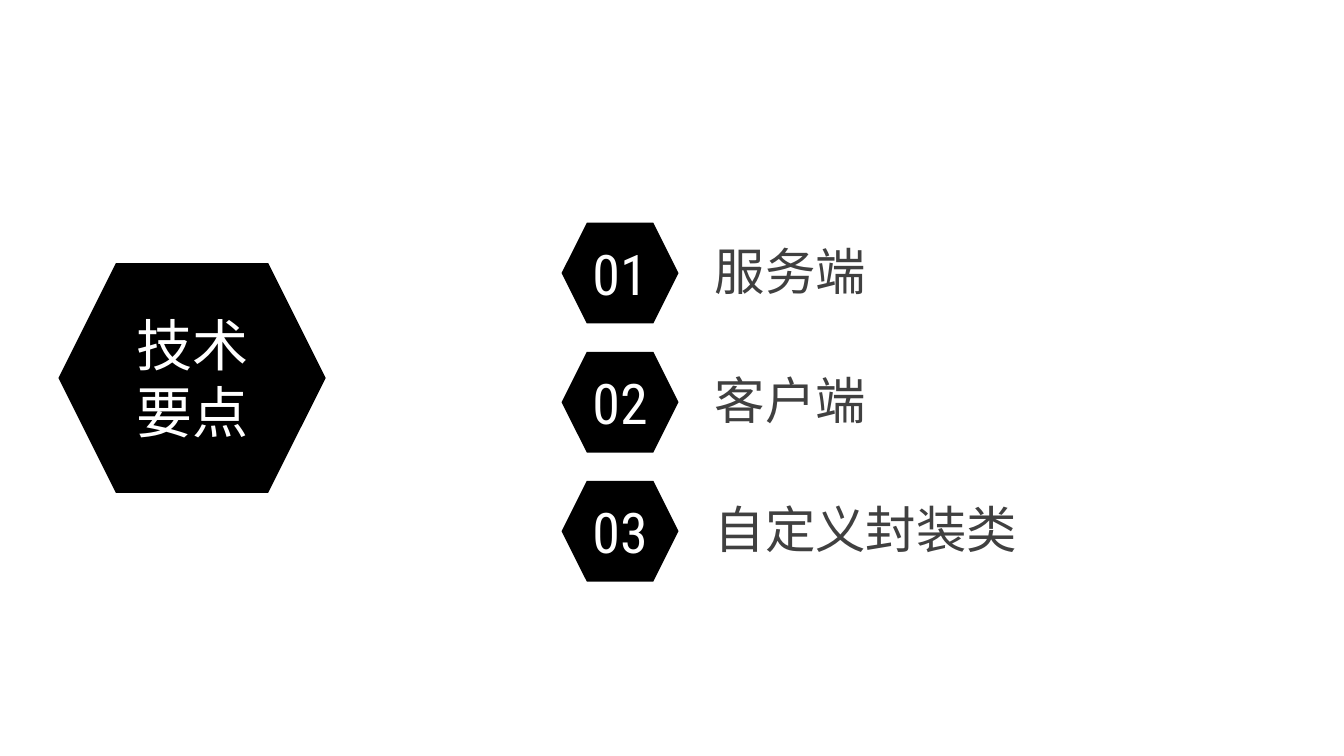
import dataclasses

import pptx
import pptx.dml.color
import pptx.enum.shapes
import pptx.enum.text
import pptx.util


@dataclasses.dataclass(frozen=True)
class Theme:
    fill: str = "000000"
    light: str = "FFFFFF"
    text: str = "404040"
    head: str = "Roboto Condensed"
    body: str = "Lato"
    large: int = 40
    small: int = 36


THEME = Theme()
WIDTH, HEIGHT = 13.33, 7.5
TOPICS = ("服务端", "客户端", "自定义封装类")
TOP, PITCH = 2.21, 1.28
BADGE_LEFT, BADGE_WIDTH, BADGE_HEIGHT = 5.57, 1.16, 1
LABEL_LEFT, LABEL_DROP, LABEL_HEIGHT = 6.99, 0.12, 0.71
GLYPH, INSET = 0.5, 0.1


def color(code):
    return pptx.dml.color.RGBColor.from_string(code)


def box(*sides):
    return [pptx.util.Inches(side) for side in sides]


def write(frame, text, size, face, code):
    line = frame.paragraphs[0]
    line.text = text
    line.font.size = pptx.util.Pt(size)
    line.font.name = face
    line.font.color.rgb = color(code)
    return line


def add_hexagon(slide, text, *sides):
    shape = slide.shapes.add_shape(
        pptx.enum.shapes.MSO_SHAPE.HEXAGON, *box(*sides))
    shape.shadow.inherit = False
    shape.fill.solid()
    shape.fill.fore_color.rgb = color(THEME.fill)
    shape.line.fill.background()
    frame = shape.text_frame
    frame.vertical_anchor = pptx.enum.text.MSO_ANCHOR.MIDDLE
    line = write(frame, text, THEME.large, THEME.head, THEME.light)
    line.alignment = pptx.enum.text.PP_ALIGN.CENTER


def add_label(slide, text, left, top):
    """Add one line of text in a box as wide as its characters."""
    width = len(text) * GLYPH + 2 * INSET
    label = slide.shapes.add_textbox(*box(left, top, width, LABEL_HEIGHT))
    frame = label.text_frame
    frame.word_wrap = False
    frame.auto_size = pptx.enum.text.MSO_AUTO_SIZE.SHAPE_TO_FIT_TEXT
    write(frame, text, THEME.small, THEME.body, THEME.text)


def main():
    deck = pptx.Presentation()
    deck.slide_width, deck.slide_height = box(WIDTH, HEIGHT)
    slide = deck.slides.add_slide(deck.slide_layouts[6])
    for row, topic in enumerate(TOPICS):
        top = TOP + row * PITCH
        add_hexagon(slide, f"{row + 1:02}",
                    BADGE_LEFT, top, BADGE_WIDTH, BADGE_HEIGHT)
        add_label(slide, topic, LABEL_LEFT, top + LABEL_DROP)
    add_hexagon(slide, "技术要点", 0.58, 2.61, 2.65, 2.28)
    deck.save("out.pptx")


if __name__ == "__main__":
    main()
